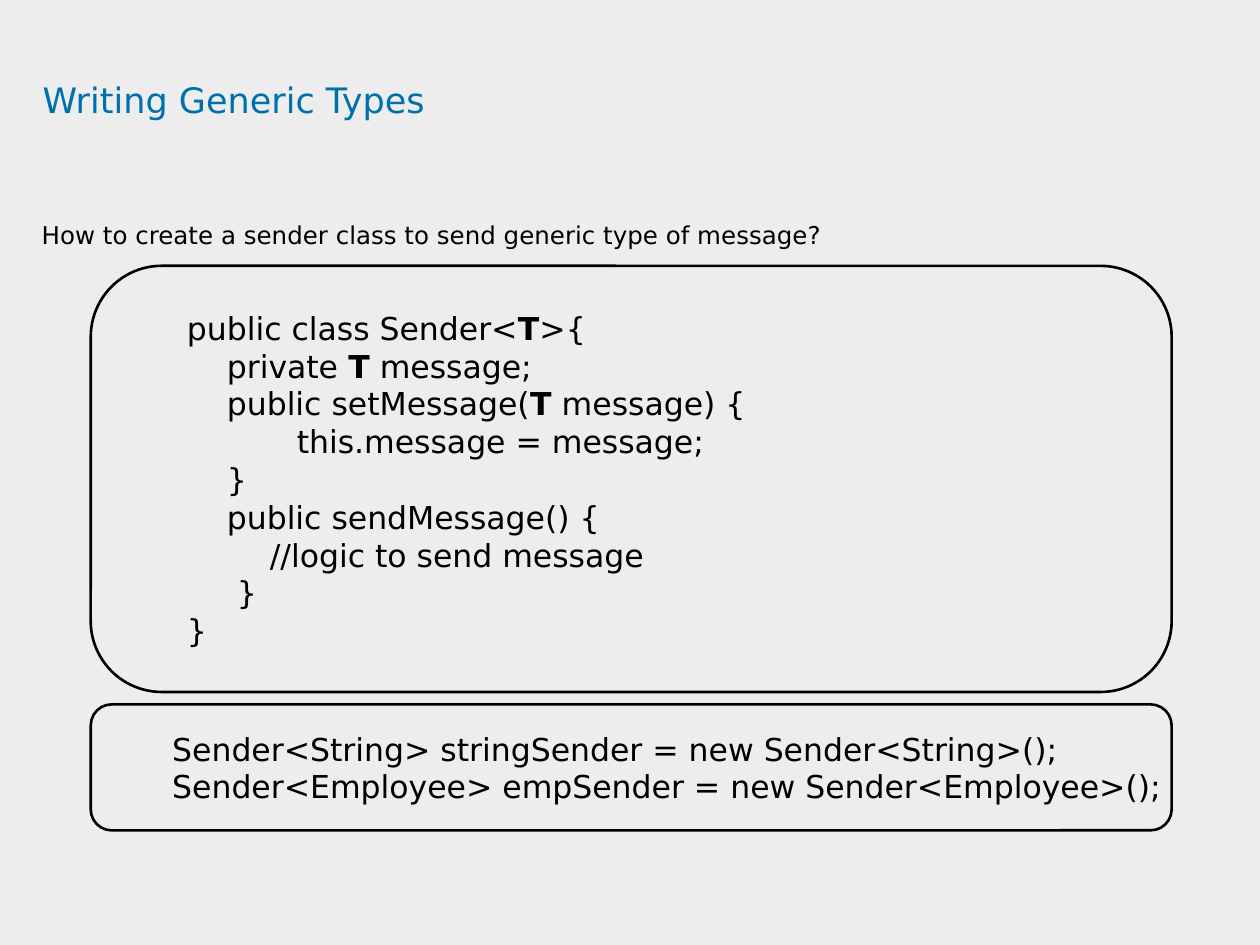
from pptx import Presentation
from pptx.dml.color import RGBColor
from pptx.enum.shapes import MSO_SHAPE
from pptx.enum.text import MSO_ANCHOR, PP_ALIGN
from pptx.util import Cm, Pt

ROUNDED = MSO_SHAPE.ROUNDED_RECTANGLE
TOP, MIDDLE = MSO_ANCHOR.TOP, MSO_ANCHOR.MIDDLE
LEFT = PP_ALIGN.LEFT

COLORS = {"background": "EDEDED", "title": "0070AD", "text": "000000"}
FONT = "DejaVu Sans"

SENDER_CLASS = [
    "public class Sender<*T*>{",
    "    private *T* message;",
    "    public setMessage(*T* message) {\n           this.message = message;",
    "    }",
    "    public sendMessage() {\n\t  //logic to send message",
    "     }",
    "}",
]
SENDER_USAGE = [
    "Sender<String> stringSender = new Sender<String>();",
    "Sender<Employee> empSender = new Sender<Employee>();",
]


def rgb(name):
    return RGBColor.from_string(COLORS[name])


def write(p, text, size, color="text", spacing=None, after=None, indent=None):
    """Fill a paragraph; *stars* mark bold and a newline is a line break."""
    p.alignment = LEFT
    if spacing:
        p.line_spacing = spacing
    if after:
        p.space_after = Pt(after)
    if indent:
        p.level = 1
        pPr = p._p.get_or_add_pPr()
        pPr.set("marL", str(Cm(indent)))
        pPr.set("indent", "0")
    for i, line in enumerate(text.split("\n")):
        if i:
            p.add_line_break()
        for j, part in enumerate(line.split("*")):
            r = p.add_run()
            r.text = part
            r.font.name = FONT
            r.font.size = Pt(size)
            r.font.bold = j % 2 == 1
            r.font.color.rgb = rgb(color)


class Deck:
    def __init__(self):
        self.prs = Presentation()
        self.prs.slide_width, self.prs.slide_height = Cm(25.4), Cm(19.05)

    def add_slide(self):
        self.s = self.prs.slides.add_slide(self.prs.slide_layouts[6])
        fill = self.s.background.fill
        fill.solid()
        fill.fore_color.rgb = rgb("background")

    def text(self, box, text, **style):
        tf = self.s.shapes.add_textbox(*map(Cm, box)).text_frame
        tf.word_wrap = True
        tf.vertical_anchor = TOP
        tf.margin_left = tf.margin_top = tf.margin_right = tf.margin_bottom = 0
        write(tf.paragraphs[0], text, **style)

    def code_box(self, top, height, lines):
        sp = self.s.shapes.add_shape(ROUNDED, Cm(1.83), Cm(top), Cm(21.79), Cm(height))
        sp.shadow.inherit = False
        sp.fill.background()
        sp.line.color.rgb = rgb("text")
        sp.line.width = Pt(1.5)
        tf = sp.text_frame
        tf.word_wrap = False
        tf.vertical_anchor = MIDDLE
        for i, line in enumerate(lines):
            p = tf.add_paragraph() if i else tf.paragraphs[0]
            write(p, line, size=18, indent=1.27)


def main():
    deck = Deck()
    deck.add_slide()
    deck.text((0.86, 1.17, 23.09, 2.39), "Writing Generic Types",
              size=20, color="title", spacing=1.5)
    deck.text((0.84, 4.14, 24.56, 12.9),
              "How to create a sender class to send generic type of message?",
              size=14, spacing=1.5, after=4.5)
    deck.code_box(5.36, 8.59, SENDER_CLASS)
    deck.code_box(14.2, 2.54, SENDER_USAGE)
    deck.prs.save("out.pptx")


if __name__ == "__main__":
    main()
